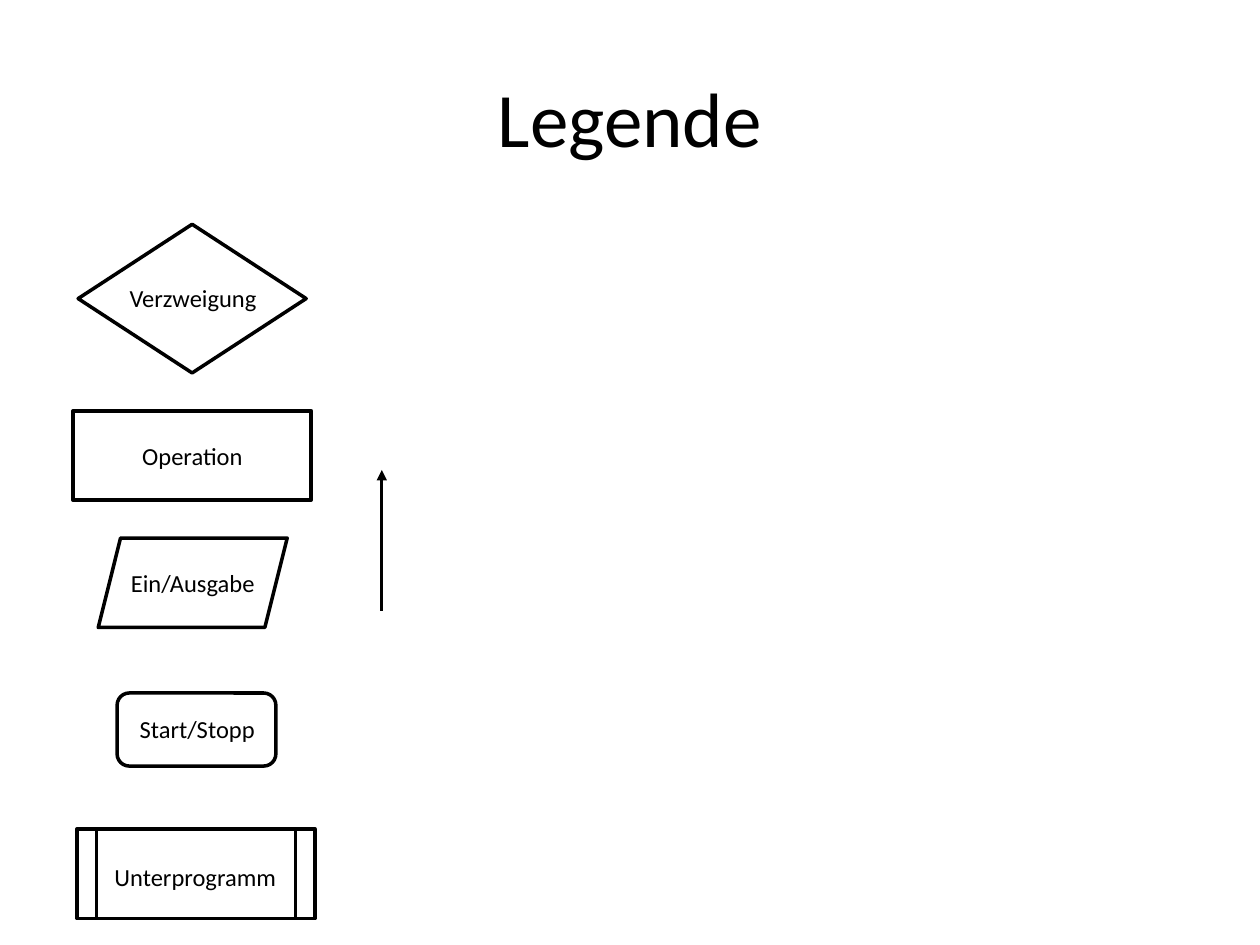
from dataclasses import dataclass

from lxml import etree
from pptx import Presentation
from pptx import util as u
from pptx.dml.color import RGBColor
from pptx.enum import shapes, text
from pptx.oxml.ns import qn


@dataclass(frozen=True)
class Theme:
    font: str = "Calibri"
    ink: RGBColor = RGBColor(0, 0, 0)
    title_size: float = 44
    label_size: float = 14
    outline: float = 2
    arrow: float = 1.75
    rail: float = 1.5


class LegendPage:
    def __init__(self, page, theme):
        self.page = page
        self.theme = theme

    def group(self):
        return self.page.shapes.add_group_shape()

    def label(self, parent, wording, left, top, width, height, size,
              align=text.PP_ALIGN.LEFT, anchor=text.MSO_ANCHOR.TOP):
        box = parent.shapes.add_textbox(*map(u.Inches, (left, top, width, height)))
        frame = box.text_frame
        frame.word_wrap = True
        frame.vertical_anchor = anchor
        para = frame.paragraphs[0]
        para.text = wording
        para.alignment = align
        para.font.name = self.theme.font
        para.font.size = u.Pt(size)
        para.font.color.rgb = self.theme.ink

    def symbol(self, parent, kind, left, top, width, height):
        shape = parent.shapes.add_shape(kind, *map(u.Inches, (left, top, width, height)))
        shape.shadow.inherit = False
        shape.fill.background()
        shape.line.color.rgb = self.theme.ink
        shape.line.width = u.Pt(self.theme.outline)

    def vertical(self, parent, x, top, bottom, weight, arrow=False):
        line = parent.shapes.add_connector(
            shapes.MSO_CONNECTOR.STRAIGHT, *map(u.Inches, (x, top, x, bottom)))
        line.line.color.rgb = self.theme.ink
        line.line.width = u.Pt(weight)
        properties = line._element.spPr
        if arrow:
            etree.SubElement(properties.find(qn("a:ln")), qn("a:headEnd"), type="triangle")
        etree.SubElement(properties, qn("a:effectLst"))


def main():
    theme = Theme()
    deck = Presentation()
    deck.slide_width, deck.slide_height = u.Inches(10), u.Inches(7.5)
    page = deck.slides.add_slide(deck.slide_layouts[6])
    legend = LegendPage(page, theme)

    legend.label(page, "Legende", 0.5, 0.3, 9, 1.25, theme.title_size,
                 text.PP_ALIGN.CENTER, text.MSO_ANCHOR.MIDDLE)

    kinds = shapes.MSO_SHAPE
    label_width, label_height = 1.34, 0.34
    subprogram = (0.61, 6.58, 1.89, 0.71)
    symbols = [
        ("Verzweigung", kinds.FLOWCHART_DECISION, (0.62, 1.78, 1.81, 1.18), (0.93, 2.2), label_width),
        ("Operation", kinds.RECTANGLE, (0.58, 3.26, 1.89, 0.71), (1.03, 3.45), label_width),
        ("Start/Stopp", kinds.ROUNDED_RECTANGLE, (0.93, 5.5, 1.26, 0.58), (1.01, 5.62), label_width),
        ("Ein/Ausgabe", kinds.PARALLELOGRAM, (0.78, 4.27, 1.5, 0.71), (0.94, 4.46), label_width),
        ("Unterprogramm", kinds.RECTANGLE, subprogram, (0.81, 6.79), 1.57),
    ]
    for wording, kind, bounds, label_corner, width in symbols:
        group = legend.group()
        legend.symbol(group, kind, *bounds)
        legend.label(group, wording, *label_corner, width, label_height, theme.label_size)

    left, top, width, height = subprogram
    inset = 0.155
    for x in (left + width - inset, left + inset):
        legend.vertical(group, x, top, top + height, theme.rail)

    legend.vertical(page, 3.03, 3.73, 4.85, theme.arrow, arrow=True)
    deck.save("out.pptx")


if __name__ == "__main__":
    main()
